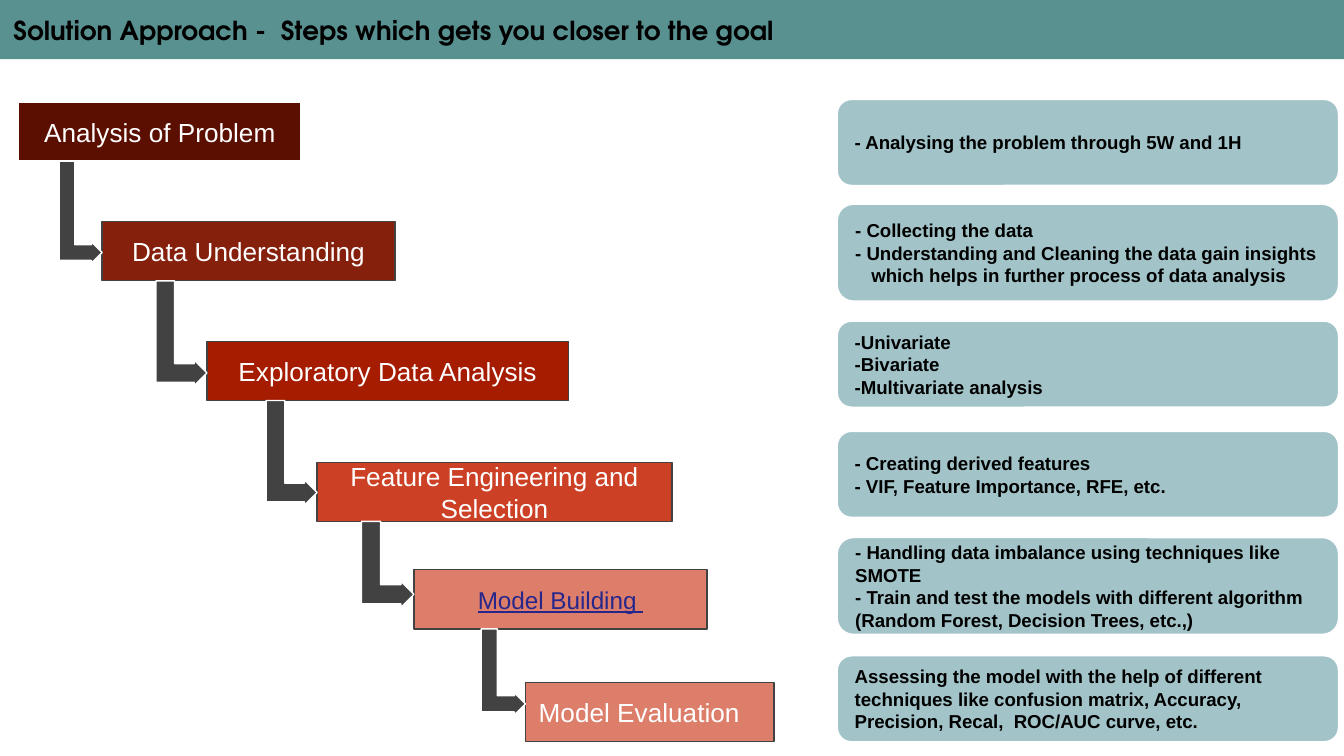
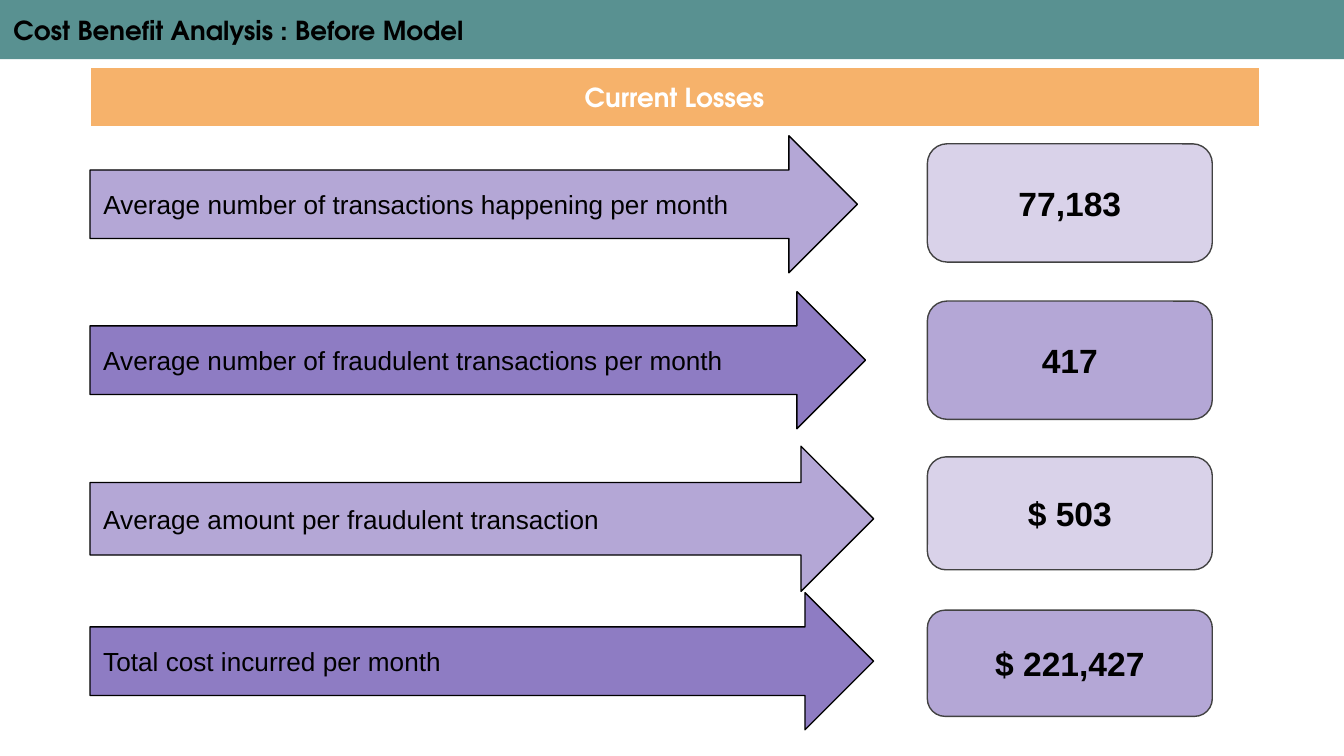
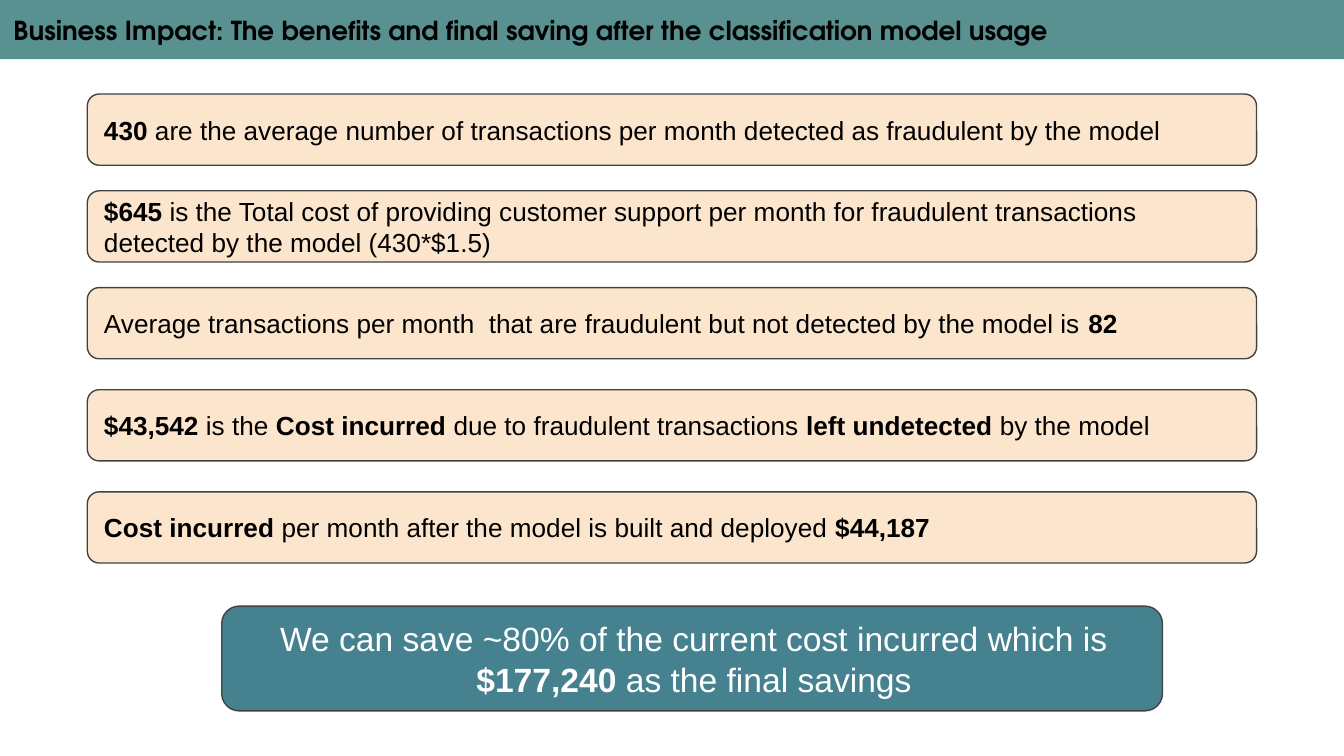
import pptx
import pptx.dml.color
import pptx.enum.shapes
import pptx.enum.text
import pptx.util

Inches = pptx.util.Inches
Pt = pptx.util.Pt
SHAPE = pptx.enum.shapes.MSO_SHAPE
ALIGN = pptx.enum.text.PP_ALIGN

COLORS = {
    "band": "599191", "black": "000000", "white": "FFFFFF", "charcoal": "424242",
    "maroon": "5B0F00", "brick": "85200C", "red": "A61C00", "vermilion": "CC4125",
    "salmon": "DD7E6B", "link": "27278B", "mist": "A2C4C9", "orange": "F6B26B",
    "cream": "FCE5CD", "teal": "45818E", "lilac": "D9D2E9", "lavender": "B4A7D6",
    "violet": "8E7CC3",
}
BODY_FONT = "Arial"
HEAD_FONT = "TeX Gyre Adventor"
INSET = 0.1
BAND_HEIGHT = 0.44
HANGING = 0.12

STAGE_HEIGHT = 0.44
STAGES = [
    ("Analysis of Problem", 0.14, 0.76, 2.1, "maroon", {"line": "white"}),
    ("Data Understanding", 0.76, 1.65, 2.18, "brick", {}),
    ("Exploratory Data Analysis", 1.54, 2.54, 2.69, "red", {}),
    ("Feature Engineering and Selection", 2.36, 3.44, 2.64, "vermilion", {}),
    ("Model Building ", 3.08, 4.24, 2.18, "salmon",
     {"size": 13, "color": "link", "underline": True}),
    ("Model Evaluation", 3.91, 5.08, 1.85, "salmon", {"align": ALIGN.LEFT}),
]
STEP_ARROWS = [(0.32, 0.76), (0.38, 0.78), (0.38, 0.78), (0.39, 0.64), (0.33, 0.64)]

STAGE_NOTES = [
    (0.74, 0.64, ["- Analysing the problem through 5W and 1H"]),
    (1.52, 0.72, ["- Collecting the data",
                  "- Understanding and Cleaning the data gain insights "
                  "which helps in further process of data analysis"]),
    (2.39, 0.64, ["-Univariate", "-Bivariate", "-Multivariate analysis"]),
    (3.21, 0.64, ["- Creating derived features", "- VIF, Feature Importance, RFE, etc."]),
    (4, 0.72, ["- Handling data imbalance using techniques like SMOTE",
               "- Train and test the models with different algorithm "
               "(Random Forest, Decision Trees, etc.,)"]),
    (4.88, 0.64, ["Assessing the model with the help of different techniques like "
                  "confusion matrix, Accuracy, Precision, Recal,  ROC/AUC curve, etc."]),
]

LOSSES = [
    ("Average number of transactions happening per month", "77,183",
     (1.01, 5.71, 1.02), (1.07, 0.88)),
    ("Average number of fraudulent transactions per month", "417",
     (2.17, 5.77, 1.02), (2.24, 0.88)),
    ("Average amount per fraudulent transaction", "$ 503",
     (3.32, 5.83, 1.08), (3.4, 0.84)),
    ("Total cost incurred per month", "$ 221,427",
     (4.41, 5.83, 1.02), (4.54, 0.79)),
]
LOSS_TONES = [("lavender", "lilac"), ("violet", "lavender")]

IMPACTS = [
    (0.7, "**430 **are the average number of transactions per month detected "
          "as fraudulent by the model"),
    (1.42, "**$645** is the Total cost of providing customer support per month "
           "for fraudulent transactions detected by the model (430*$1.5)"),
    (2.14, "Average transactions per month  that are fraudulent but not detected "
           "by the model is **82**"),
    (2.9, "**$43,542** is the **Cost incurred **due to fraudulent transactions "
          "**left undetected **by the model"),
    (3.66, "**Cost incurred** per month after the model is built and deployed **$44,187**"),
]


def rgb(name):
    return pptx.dml.color.RGBColor.from_string(COLORS[name])


def write_text(frame, lines, size=14, color="black", align=ALIGN.LEFT,
               font=BODY_FONT, bold=False, underline=False):
    frame.word_wrap = True
    frame.auto_size = pptx.enum.text.MSO_AUTO_SIZE.NONE
    frame.vertical_anchor = pptx.enum.text.MSO_ANCHOR.MIDDLE
    frame.margin_left = frame.margin_right = Inches(INSET)
    frame.margin_top = frame.margin_bottom = Inches(INSET)
    for index, line in enumerate(lines):
        paragraph = frame.paragraphs[0] if index == 0 else frame.add_paragraph()
        paragraph.alignment = align
        paragraph.font.name = font
        paragraph.font.size = Pt(size)
        paragraph.font.color.rgb = rgb(color)
        paragraph.font.bold = bold
        paragraph.font.underline = underline
        for part, words in enumerate(line.split("**")):
            if words:
                run = paragraph.add_run()
                run.text = words
                if part % 2:
                    run.font.bold = True


def add_block(slide, kind, box, fill, lines=(), line="charcoal", **style):
    block = slide.shapes.add_shape(kind, *map(Inches, box))
    block.shadow.inherit = False
    block.fill.solid()
    block.fill.fore_color.rgb = rgb(fill)
    block.line.color.rgb = rgb(line)
    block.line.width = Pt(0.75)
    if lines:
        write_text(block.text_frame, lines, **style)
    return block


def add_titled_slide(deck, heading):
    slide = deck.slides.add_slide(deck.slide_layouts[5])
    title = slide.shapes.title
    title.left, title.top = Inches(0), Inches(0)
    title.width, title.height = deck.slide_width, Inches(BAND_HEIGHT)
    title.fill.solid()
    title.fill.fore_color.rgb = rgb("band")
    write_text(title.text_frame, [heading], font=HEAD_FONT, bold=True)
    return slide


def add_step_arrow(slide, tip_x, top, depth, drop):
    left = tip_x - (depth + drop) / 2
    frame_top = top + (drop - depth) / 2
    arrow = add_block(slide, SHAPE.BENT_UP_ARROW, (left, frame_top, drop, depth),
                      "charcoal", line="white")
    arrow.rotation = 90
    arrow.adjustments[0] = 0.365


def hang_indent(paragraph):
    properties = paragraph._p.get_or_add_pPr()
    properties.set("marL", str(Inches(HANGING)))
    properties.set("indent", str(-Inches(HANGING)))


def build_approach(deck):
    slide = add_titled_slide(
        deck, "Solution Approach -  Steps which gets you closer to the goal")
    for name, left, top, width, fill, changes in STAGES:
        style = {"color": "white", "align": ALIGN.CENTER, **changes}
        add_block(slide, SHAPE.RECTANGLE, (left, top, width, STAGE_HEIGHT), fill,
                  [name], **style)
    for stage, following, (depth, drop) in zip(STAGES, STAGES[1:], STEP_ARROWS):
        add_step_arrow(slide, following[1], stage[2] + STAGE_HEIGHT, depth, drop)
    for top, height, lines in STAGE_NOTES:
        note = add_block(slide, SHAPE.ROUNDED_RECTANGLE, (6.23, top, 3.73, height),
                         "mist", lines, line="white", size=10, bold=True)
        if lines[0] == "- Collecting the data":
            hang_indent(note.text_frame.paragraphs[1])


def build_losses(deck):
    slide = add_titled_slide(deck, "Cost Benefit Analysis : Before Model")
    for row, (label, amount, arrow, card) in enumerate(LOSSES):
        arrow_fill, card_fill = LOSS_TONES[row % 2]
        add_block(slide, SHAPE.RIGHT_ARROW, (0.67, *arrow), arrow_fill, [label],
                  line="black")
        card_top, card_height = card
        add_block(slide, SHAPE.ROUNDED_RECTANGLE, (6.9, card_top, 2.12, card_height),
                  card_fill, [amount], size=18, bold=True, align=ALIGN.CENTER)
    add_block(slide, SHAPE.RECTANGLE, (0.67, 0.5, 8.7, BAND_HEIGHT), "orange",
              ["Current Losses"], line="white", color="white", font=HEAD_FONT,
              bold=True, align=ALIGN.CENTER)


def build_impact(deck):
    slide = add_titled_slide(
        deck, "Business Impact: The benefits and final saving after the "
              "classification model usage")
    for top, statement in IMPACTS:
        add_block(slide, SHAPE.ROUNDED_RECTANGLE, (0.65, top, 8.7, 0.53), "cream",
                  [statement])
    savings = add_block(slide, SHAPE.ROUNDED_RECTANGLE, (1.65, 4.51, 7, 0.78), "teal",
                        ["We can save ~80% of the current cost incurred which is "
                         "**$177,240 **as the final savings"],
                        size=18, color="white", align=ALIGN.CENTER)
    savings.text_frame.margin_right = Inches(0.07)


def main():
    deck = pptx.Presentation()
    deck.slide_width = Inches(10)
    deck.slide_height = deck.slide_width * 9 // 16
    build_approach(deck)
    build_losses(deck)
    build_impact(deck)
    deck.save("out.pptx")


if __name__ == "__main__":
    main()
